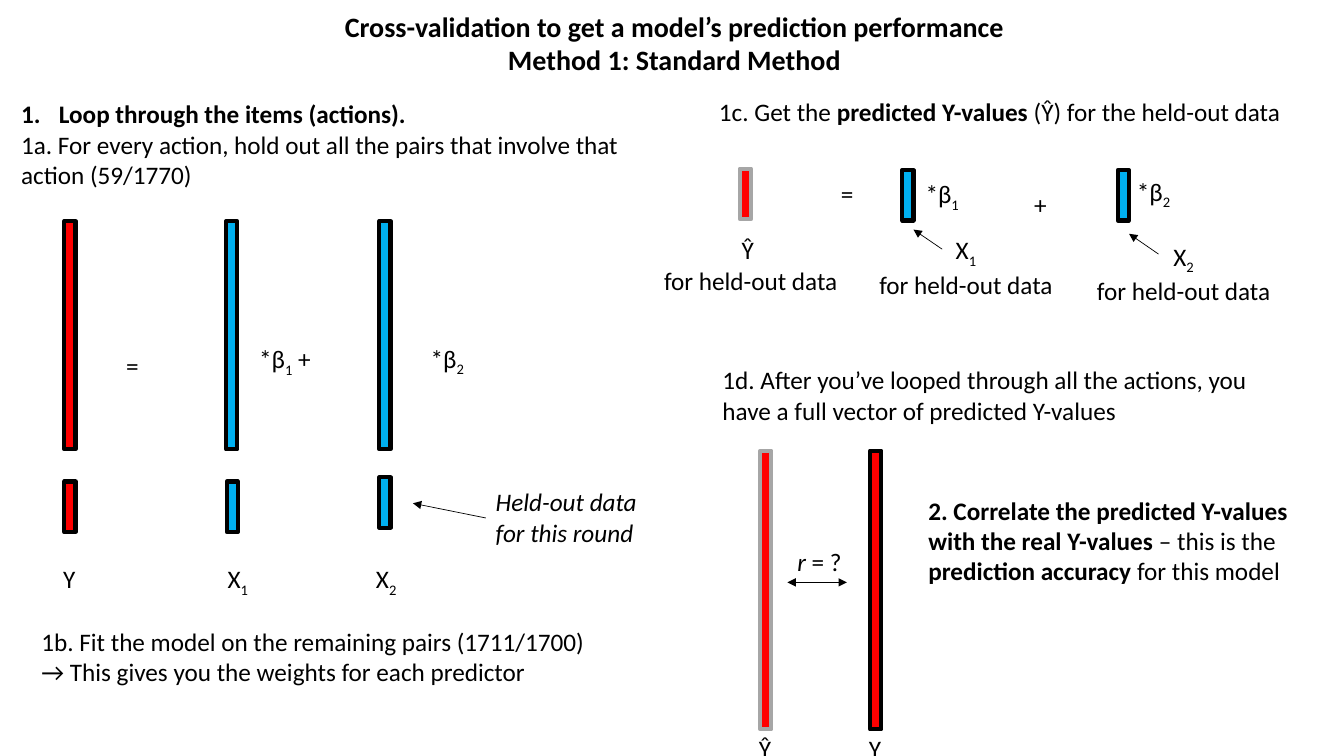
from dataclasses import dataclass

from lxml.etree import SubElement
from pptx import Presentation
from pptx.dml.color import RGBColor
from pptx.enum.shapes import MSO_CONNECTOR, MSO_SHAPE
from pptx.enum.text import MSO_AUTO_SIZE, PP_ALIGN
from pptx.oxml.ns import qn
from pptx.util import Pt

BLACK, RED, BLUE, GREY = "000000", "FF0000", "00B0F0", "A6A6A6"
FONT = "Calibri"
BAR_WIDTH = 8

# A run is a text and its style: "" plain, "b" bold, "i" italic, "sub" subscript
Run = tuple[str, str]


@dataclass
class Bar:
    left: float
    top: float
    height: float
    fill: str
    line: str = BLACK


@dataclass
class Note:
    left: float
    top: float
    width: float
    height: float
    paragraphs: list[list[Run]]
    wrap: bool = False
    centred: bool = False
    size: float = 18
    numbered: bool = False  # number the first paragraph


@dataclass
class Arrow:
    x1: float
    y1: float
    x2: float
    y2: float
    double: bool = False


def rgb(colour: str) -> RGBColor:
    return RGBColor.from_string(colour)


def indexed(symbol: str, index: str) -> list[Run]:
    return [(symbol, ""), (index, "sub")]


def draw_bar(s, bar: Bar) -> None:
    sp = s.shapes.add_shape(MSO_SHAPE.RECTANGLE, Pt(bar.left), Pt(bar.top),
                            Pt(BAR_WIDTH), Pt(bar.height))
    sp.shadow.inherit = False
    sp.fill.solid()
    sp.fill.fore_color.rgb = rgb(bar.fill)
    sp.line.color.rgb = rgb(bar.line)
    sp.line.width = Pt(3)


def number_paragraph(p) -> None:
    pPr = p._p.get_or_add_pPr()
    pPr.set("marL", str(Pt(27)))
    pPr.set("indent", str(-Pt(27)))
    SubElement(pPr, qn("a:buFont"), typeface="+mj-lt")
    SubElement(pPr, qn("a:buAutoNum"), type="arabicPeriod")


def draw_note(s, note: Note) -> None:
    sp = s.shapes.add_textbox(Pt(note.left), Pt(note.top), Pt(note.width), Pt(note.height))
    tf = sp.text_frame
    tf.word_wrap = note.wrap
    tf.auto_size = MSO_AUTO_SIZE.SHAPE_TO_FIT_TEXT
    for i, runs in enumerate(note.paragraphs):
        p = tf.add_paragraph() if i else tf.paragraphs[0]
        p.alignment = PP_ALIGN.CENTER if note.centred else PP_ALIGN.LEFT
        if note.numbered and i == 0:
            number_paragraph(p)
        for text, style in runs:
            r = p.add_run()
            r.text = text
            r.font.name = FONT
            r.font.size = Pt(note.size)
            r.font.color.rgb = rgb(BLACK)
            r.font.bold = style == "b"
            r.font.italic = style == "i"
            if style == "sub":
                r.font._element.set("baseline", "-25000")


def draw_arrow(s, arrow: Arrow) -> None:
    c = s.shapes.add_connector(MSO_CONNECTOR.STRAIGHT, Pt(arrow.x1), Pt(arrow.y1),
                               Pt(arrow.x2), Pt(arrow.y2))
    c.line.color.rgb = rgb(BLACK)
    c.line.width = Pt(0.5)
    ln = c.line._get_or_add_ln()
    if arrow.double:
        SubElement(ln, qn("a:headEnd"), type="triangle")
    SubElement(ln, qn("a:tailEnd"), type="triangle")
    SubElement(c._element.spPr, qn("a:effectLst"))


BARS = [
    # Training data, then the held-out data below it
    Bar(46, 158, 163, RED),
    Bar(161.5, 158, 163, BLUE),
    Bar(271, 158, 163, BLUE),
    Bar(46, 344, 36, RED),
    Bar(162, 344, 36, BLUE),
    Bar(271, 341, 36, BLUE),
    # Prediction for the held-out data
    Bar(528.5, 120.5, 36, RED, GREY),
    Bar(644.5, 121.5, 36, BLUE),
    Bar(798.5, 121.5, 36, BLUE),
    # Full vectors to correlate
    Bar(543, 322, 199, RED, GREY),
    Bar(621.5, 322, 199, RED),
]

HELD_OUT: list[Run] = [("for held-out data", "")]

NOTES = [
    # Title
    Note(237, 3, 489.5, 55.5,
         [[("Cross-validation to get a model’s prediction performance", "b")],
          [("Method 1: Standard Method", "b")]], centred=True, size=20),
    # Steps 1a and 1b
    Note(8, 67, 458.5, 73,
         [[("Loop through the items (actions).", "b")],
          [("1a. For every action, hold out all the pairs that involve that "
            "action (59/1770)", "")]], wrap=True, numbered=True),
    Note(83, 247, 23.5, 29, [[("=", "")]]),
    Note(178, 242, 54, 29, [indexed("*β", "1") + [(" +", "")]]),
    Note(300.5, 241.5, 39.5, 29, [indexed("*β", "2")]),
    Note(38, 399, 23, 29, [[("Y", "")]]),
    Note(155.5, 399, 30, 29, [indexed("X", "1")]),
    Note(261.5, 399, 30, 29, [indexed("X", "2")]),
    Note(347, 344, 122.5, 51, [[("Held-out data for this round", "i")]], wrap=True),
    Note(22.5, 443.5, 407.5, 51,
         [[("1b. Fit the model on the remaining pairs (1711/1700)", "")],
          [("→ This gives you the weights for each predictor", "")]]),
    # Step 1c
    Note(506.5, 65.5, 420.5, 29,
         [[("1c. Get the ", ""), ("predicted Y-values ", "b"),
           ("(Ŷ) for the held-out data", "")]]),
    Note(466.5, 164, 139.5, 51, [[("Ŷ ", "")], HELD_OUT], centred=True),
    Note(593.5, 124, 23.5, 29, [[("=", "")]]),
    Note(654, 124, 39.5, 29, [indexed("*β", "1")]),
    Note(731.5, 132, 23.5, 29, [[("+", "")]]),
    Note(805, 122.5, 39.5, 29, [indexed("*β", "2")]),
    Note(618, 164, 144, 65.5, [indexed("X", "1"), HELD_OUT], centred=True),
    Note(773.5, 168.5, 144, 65.5, [indexed("X", "2"), HELD_OUT], centred=True),
    # Steps 1d and 2
    Note(509, 257, 420.5, 51,
         [[("1d. After you’ve looped through all the actions, you have a full "
            "vector of predicted Y-values", "")]], wrap=True),
    Note(656, 350, 301, 73,
         [[("2. Correlate the predicted Y-values with the real Y-values ", "b"),
           ("– this is the ", ""), ("prediction accuracy ", "b"),
           ("for this model", "")]], wrap=True),
    Note(562.5, 386.5, 47, 29, [[("r", "i"), (" = ?", "")]]),
    Note(535, 520.5, 23, 29, [[("Ŷ", "")]], centred=True),
    Note(613.5, 520, 23, 29, [[("Y", "")]], centred=True),
]

ARROWS = [
    Arrow(347, 370, 295, 359.5),
    Arrow(673, 178, 652.5, 164),
    Arrow(827.5, 181.5, 806.5, 167),
    Arrow(562.5, 416, 605, 416, double=True),
]


def main() -> None:
    prs = Presentation()
    prs.slide_width, prs.slide_height = Pt(960), Pt(540)
    s = prs.slides.add_slide(prs.slide_layouts[6])
    for bar in BARS:
        draw_bar(s, bar)
    for note in NOTES:
        draw_note(s, note)
    for arrow in ARROWS:
        draw_arrow(s, arrow)
    prs.save("out.pptx")


if __name__ == "__main__":
    main()
